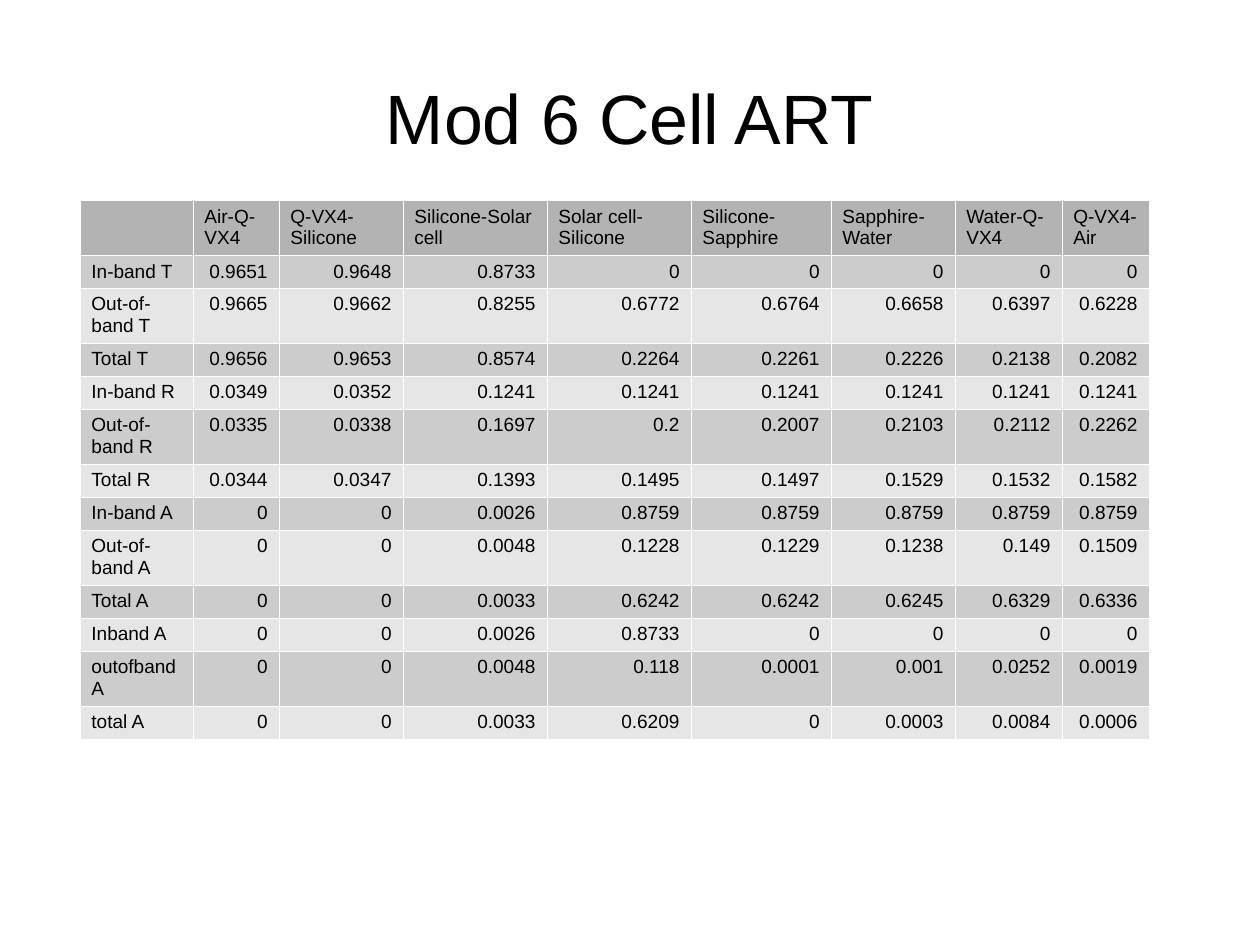
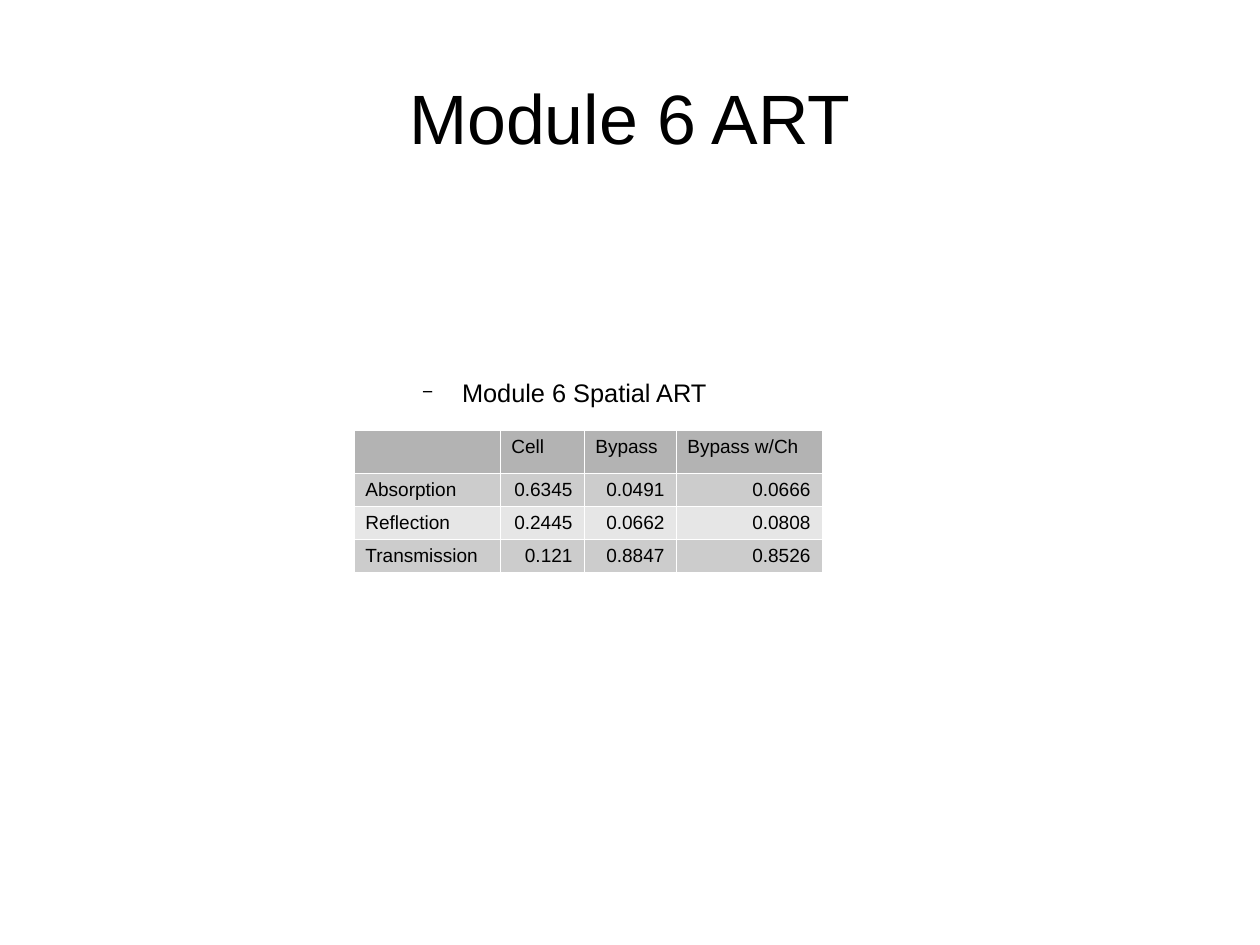
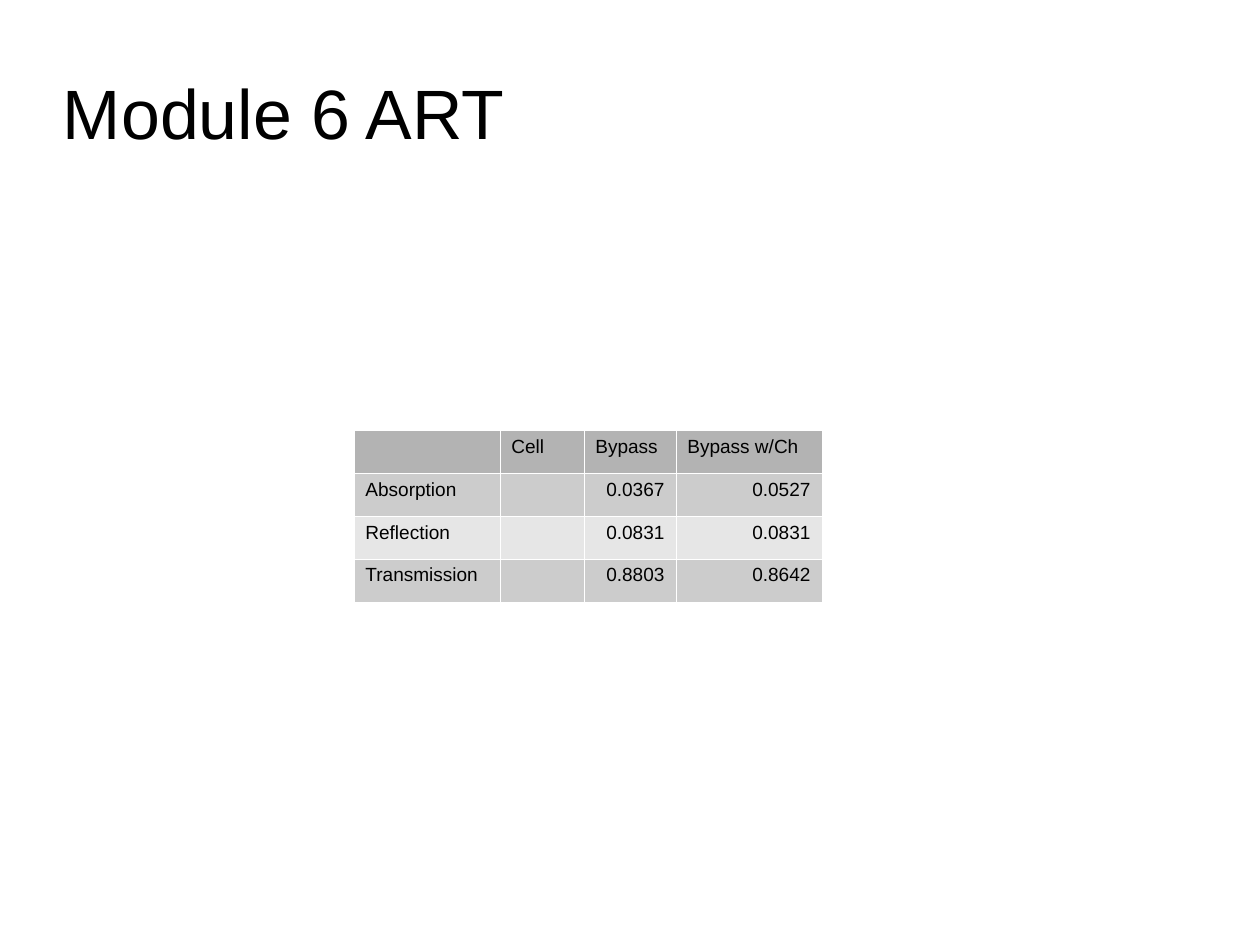
import pptx
import pptx.dml.color
import pptx.enum.text
import pptx.oxml
import pptx.oxml.ns
import pptx.util
import lxml.etree

ALIGN = pptx.enum.text.PP_ALIGN


def px(count):
    """Turn whole pixels into EMU."""
    return pptx.util.Emu(count * 8000)


def colour(code):
    return pptx.dml.color.RGBColor.from_string(code)


class Sheet:
    """Holds the style of the deck and the slide being built."""

    FONT = "Arial"
    INK = "000000"
    LINE = "FFFFFF"
    HEADER = "B3B3B3"
    BANDS = ("CCCCCC", "E6E6E6")
    TITLE_BOX = (63, 38, 1134, 158)

    def __init__(self, deck):
        self.deck = deck
        self.page = None

    def style(self, para, size, align):
        para.alignment = align
        para.font.size = pptx.util.Pt(size)
        para.font.name = self.FONT
        para.font.color.rgb = colour(self.INK)

    def frame(self, box, anchor):
        """Give a text frame no insets, wrapping and a fixed size."""
        frame = box.text_frame
        frame.margin_left = frame.margin_right = 0
        frame.margin_top = frame.margin_bottom = 0
        frame.word_wrap = True
        frame.auto_size = pptx.enum.text.MSO_AUTO_SIZE.NONE
        frame.vertical_anchor = anchor
        return frame

    def new_page(self, title, align=ALIGN.CENTER, spacing=1.0):
        self.page = self.deck.slides.add_slide(self.deck.slide_layouts[5])
        box = self.page.shapes.title
        box.left, box.top, box.width, box.height = map(px, self.TITLE_BOX)
        frame = self.frame(box, pptx.enum.text.MSO_ANCHOR.MIDDLE)
        frame.text = title
        para = frame.paragraphs[0]
        self.style(para, 44, align)
        para.line_spacing = spacing

    def bullet(self, text, left, top, width, height):
        box = self.page.shapes.add_textbox(*map(px, (left, top, width, height)))
        frame = self.frame(box, pptx.enum.text.MSO_ANCHOR.TOP)
        frame.text = text
        para = frame.paragraphs[0]
        para.level = 1
        self.style(para, 16, ALIGN.LEFT)
        # Dash bullet with a hanging indent, placed ahead of the font defaults
        props = para._p.get_or_add_pPr()
        props.set("marL", str(px(107)))
        props.set("indent", str(px(-40)))
        marks = (("a:buSzPct", "val", "75000"),
                 ("a:buFont", "typeface", self.FONT),
                 ("a:buChar", "char", "−"))
        defaults = props.find(pptx.oxml.ns.qn("a:defRPr"))
        for tag, name, value in marks:
            mark = lxml.etree.Element(pptx.oxml.ns.qn(tag))
            mark.set(name, value)
            defaults.addprevious(mark)

    def borders(self, cell):
        props = cell._tc.get_or_add_tcPr()
        for side in "LRTB":
            props.append(pptx.oxml.parse_xml(
                f'<a:ln{side} {pptx.oxml.ns.nsdecls("a")} w="{pptx.util.Pt(0.06)}">'
                f'<a:solidFill><a:srgbClr val="{self.LINE}"/></a:solidFill>'
                f'</a:ln{side}>'))

    def table(self, left, top, widths, heights, rows):
        table = self.page.shapes.add_table(
            len(rows), len(widths), px(left), px(top),
            px(sum(widths)), px(sum(heights))).table
        table.first_row = table.horz_banding = False
        for column, width in zip(table.columns, widths):
            column.width = px(width)
        for index, (values, height) in enumerate(zip(rows, heights)):
            table.rows[index].height = px(height)
            fill = self.BANDS[(index - 1) % 2] if index else self.HEADER
            for place, value in enumerate(values):
                cell = table.cell(index, place)
                self.borders(cell)
                cell.fill.solid()
                cell.fill.fore_color.rgb = colour(fill)
                cell.text = value
                is_number = index > 0 and place > 0
                self.style(cell.text_frame.paragraphs[0], 12,
                           ALIGN.RIGHT if is_number else ALIGN.LEFT)


# Layer by layer values of the cell stack
CELL_WIDTHS = (113, 86, 124, 144, 144, 140, 124, 107, 87)
TALL_LABELS = ("", "Out-of-band T", "Out-of-band R", "Out-of-band A", "outofband A")
CELL_ROWS = (
    ("", "Air-Q-VX4", "Q-VX4-Silicone", "Silicone-Solar cell", "Solar cell-Silicone",
     "Silicone-Sapphire", "Sapphire-Water", "Water-Q-VX4", "Q-VX4-Air"),
    ("In-band T", "0.9651", "0.9648", "0.8733", "0", "0", "0", "0", "0"),
    ("Out-of-band T", "0.9665", "0.9662", "0.8255", "0.6772", "0.6764", "0.6658",
     "0.6397", "0.6228"),
    ("Total T", "0.9656", "0.9653", "0.8574", "0.2264", "0.2261", "0.2226",
     "0.2138", "0.2082"),
    ("In-band R", "0.0349", "0.0352", "0.1241", "0.1241", "0.1241", "0.1241",
     "0.1241", "0.1241"),
    ("Out-of-band R", "0.0335", "0.0338", "0.1697", "0.2", "0.2007", "0.2103",
     "0.2112", "0.2262"),
    ("Total R", "0.0344", "0.0347", "0.1393", "0.1495", "0.1497", "0.1529",
     "0.1532", "0.1582"),
    ("In-band A", "0", "0", "0.0026", "0.8759", "0.8759", "0.8759", "0.8759", "0.8759"),
    ("Out-of-band A", "0", "0", "0.0048", "0.1228", "0.1229", "0.1238", "0.149", "0.1509"),
    ("Total A", "0", "0", "0.0033", "0.6242", "0.6242", "0.6245", "0.6329", "0.6336"),
    ("Inband A", "0", "0", "0.0026", "0.8733", "0", "0", "0", "0"),
    ("outofband A", "0", "0", "0.0048", "0.118", "0.0001", "0.001", "0.0252", "0.0019"),
    ("total A", "0", "0", "0.0033", "0.6209", "0", "0.0003", "0.0084", "0.0006"),
)

# Module summaries share their place, columns and labels
MODULE_WIDTHS = (146, 84, 92, 146)
MODULE_HEADER = ("", "Cell", "Bypass", "Bypass w/Ch")
MODULE_LABELS = ("Absorption", "Reflection", "Transmission")
SPATIAL_VALUES = (("0.6345", "0.0491", "0.0666"),
                  ("0.2445", "0.0662", "0.0808"),
                  ("0.121", "0.8847", "0.8526"))
BYPASS_VALUES = (("", "0.0367", "0.0527"),
                 ("", "0.0831", "0.0831"),
                 ("", "0.8803", "0.8642"))


def module_table(sheet, values, row_height):
    rows = [MODULE_HEADER]
    rows += [(label, *line) for label, line in zip(MODULE_LABELS, values)]
    heights = [43] + [row_height] * len(values)
    sheet.table(354, 430, MODULE_WIDTHS, heights, rows)


def main():
    deck = pptx.Presentation()
    deck.slide_width, deck.slide_height = px(1260), px(945)
    sheet = Sheet(deck)

    # Slide 1: cell table
    sheet.new_page("Mod 6 Cell ART")
    heights = [55 if row[0] in TALL_LABELS else 33 for row in CELL_ROWS]
    sheet.table(80, 200, CELL_WIDTHS, heights, CELL_ROWS)

    # Slide 2: spatial module table
    sheet.new_page("Module 6 ART")
    module_table(sheet, SPATIAL_VALUES, 33)
    sheet.bullet("Module 6 Spatial ART", 355, 377, 408, 34)

    # Slide 3: module table without cell values
    sheet.new_page("Module 6 ART", ALIGN.LEFT, 0.9)
    module_table(sheet, BYPASS_VALUES, 43)

    deck.save("out.pptx")


if __name__ == "__main__":
    main()
